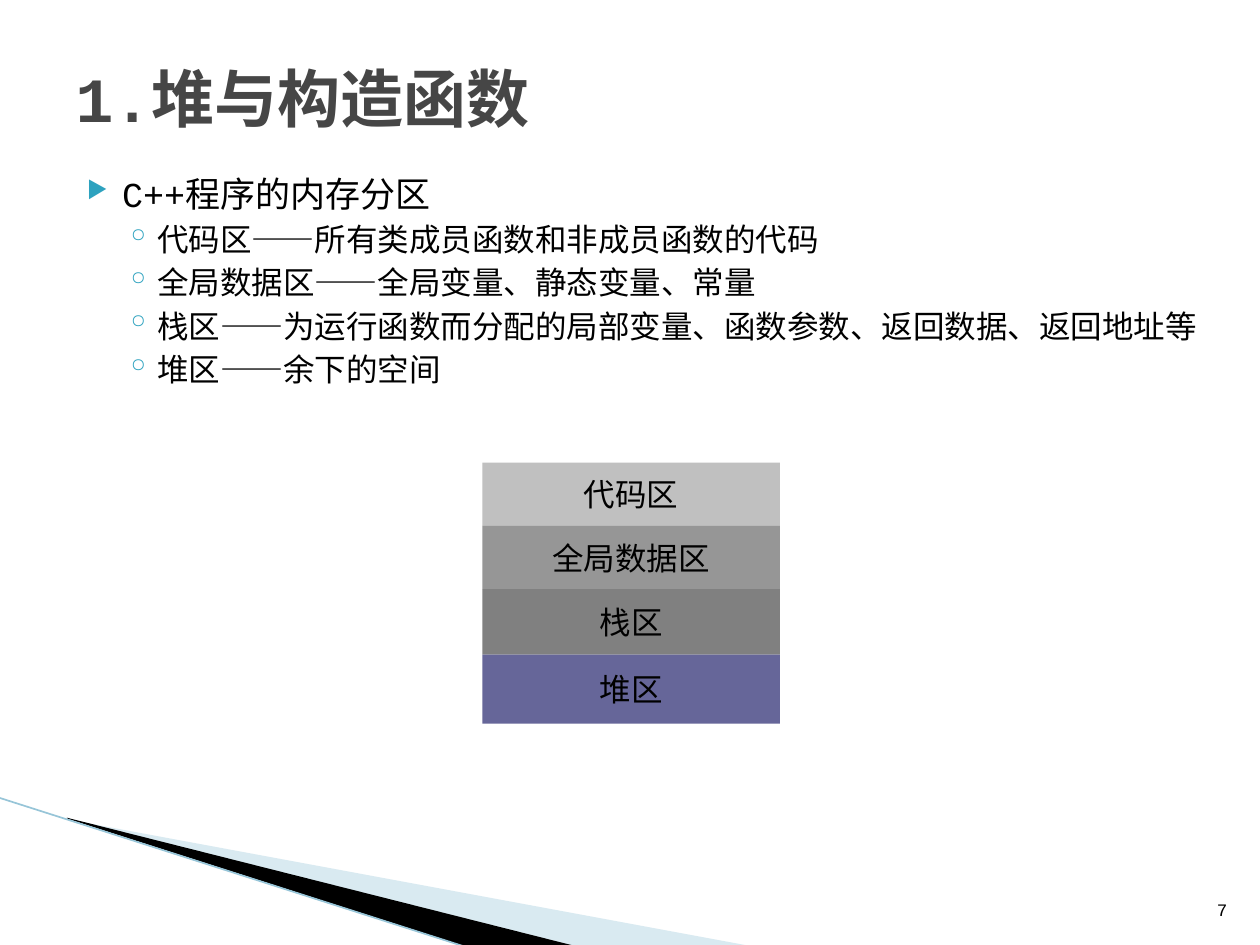
import dataclasses

import pptx
import pptx.dml.color
import pptx.enum.shapes
import pptx.enum.text
import pptx.oxml.ns
import pptx.util
from lxml import etree

Pt = pptx.util.Pt
Align = pptx.enum.text.PP_ALIGN
Anchor = pptx.enum.text.MSO_ANCHOR
qn = pptx.oxml.ns.qn


@dataclasses.dataclass(frozen=True)
class Theme:
    font: str = "Courier New"
    text: str = "000000"
    title: str = "464646"
    accent: str = "2DA2BF"
    pale: str = "A0CBDC"
    edge: str = "97C5D8"
    code: str = "C0C0C0"
    data: str = "969696"
    stack: str = "808080"
    heap: str = "666699"
    title_size: int = 36
    lead_size: int = 20
    item_size: int = 18
    number_size: int = 10


@dataclasses.dataclass
class Bullet:
    mark: str
    left: float
    hang: float
    percent: int = 100


def rgb(value):
    return pptx.dml.color.RGBColor.from_string(value)


class SlideBuilder:
    def __init__(self, page, theme):
        self.page = page
        self.theme = theme

    def place(self, shape, left, top, width, height):
        shape.left, shape.top = Pt(left), Pt(top)
        shape.width, shape.height = Pt(width), Pt(height)

    def span(self, para, text, size, color=None, bold=False):
        span = para.add_run()
        span.text = text
        span.font.name = self.theme.font
        span.font.size = Pt(size)
        span.font.bold = bold
        span.font.color.rgb = rgb(color or self.theme.text)

    def title(self, text, *bounds):
        box = self.page.shapes.title
        self.place(box, *bounds)
        frame = box.text_frame
        frame.word_wrap = True
        frame.auto_size = pptx.enum.text.MSO_AUTO_SIZE.NONE
        frame.vertical_anchor = Anchor.MIDDLE
        para = frame.paragraphs[0]
        para.alignment = Align.LEFT
        self.span(para, text, self.theme.title_size, self.theme.title, True)

    def text_box(self, *bounds, anchor=Anchor.TOP):
        box = self.page.shapes.add_textbox(*map(Pt, bounds))
        box.text_frame.word_wrap = True
        box.text_frame.vertical_anchor = anchor
        return box.text_frame

    def bullet(self, para, style):
        props = para._p.get_or_add_pPr()
        props.set("marL", str(Pt(style.left)))
        props.set("indent", str(Pt(-style.hang)))
        color = etree.SubElement(props, qn("a:buClr"))
        etree.SubElement(color, qn("a:srgbClr"), val=self.theme.accent)
        etree.SubElement(props, qn("a:buSzPct"), val=str(style.percent * 1000))
        etree.SubElement(props, qn("a:buChar"), char=style.mark)

    def outline(self, lead, items, *bounds):
        frame = self.text_box(*bounds)
        para = frame.paragraphs[0]
        self.bullet(para, Bullet("▶", 28.8, 20.16, 68))
        para.line_spacing = Pt(28.8)
        self.span(para, lead, self.theme.lead_size)
        for item in items:
            para = frame.add_paragraph()
            para.level = 1
            self.bullet(para, Bullet("◦", 49, 18))
            para.space_before = Pt(3.2)
            self.span(para, item, self.theme.item_size)

    def number(self, text, *bounds):
        para = self.text_box(*bounds, anchor=Anchor.BOTTOM).paragraphs[0]
        para.alignment = Align.RIGHT
        self.span(para, text, self.theme.number_size)

    def block(self, text, fill, *bounds):
        box = self.page.shapes.add_shape(
            pptx.enum.shapes.MSO_SHAPE.RECTANGLE, *map(Pt, bounds))
        box.shadow.inherit = False
        box.fill.solid()
        box.fill.fore_color.rgb = rgb(fill)
        box.line.fill.background()
        box.text_frame.vertical_anchor = Anchor.MIDDLE
        para = box.text_frame.paragraphs[0]
        para.alignment = Align.CENTER
        self.span(para, text, self.theme.item_size)

    def polygon(self, points, fill, opacity=100):
        start, *rest = [(Pt(x), Pt(y)) for x, y in points]
        builder = self.page.shapes.build_freeform(*start)
        builder.add_line_segments(rest, close=True)
        shape = builder.convert_to_shape()
        shape.shadow.inherit = False
        shape.fill.solid()
        shape.fill.fore_color.rgb = rgb(fill)
        shape.line.fill.background()
        if opacity < 100:
            color = shape._element.spPr.find(".//" + qn("a:srgbClr"))
            etree.SubElement(color, qn("a:alpha"), val=str(opacity * 1000))

    def line(self, start, end, color, width):
        connector = self.page.shapes.add_connector(
            pptx.enum.shapes.MSO_CONNECTOR.STRAIGHT, *map(Pt, start + end))
        connector.line.color.rgb = rgb(color)
        connector.line.width = Pt(width)
        etree.SubElement(connector._element.spPr, qn("a:effectLst"))


def main():
    deck = pptx.Presentation()
    deck.slide_width, deck.slide_height = Pt(720), Pt(540)
    theme = Theme()
    page = deck.slides.add_slide(deck.slide_layouts[5])
    slide = SlideBuilder(page, theme)

    slide.polygon([(39.6, 468.5), (428.4, 540.5), (328.3, 540.5), (39.6, 468)],
                  theme.pale, 40)
    slide.polygon([(38.2, 467.3), (329, 540.7), (267.8, 541.4), (38.9, 468)],
                  theme.text)
    slide.line((-0.7, 455.8), (267.1, 541.4), theme.edge, 0.95)

    slide.title("1.堆与构造函数", 36, 21.6, 648, 68.4)
    slide.outline("C++程序的内存分区", [
        "代码区——所有类成员函数和非成员函数的代码",
        "全局数据区——全局变量、静态变量、常量",
        "栈区——为运行函数而分配的局部变量、函数参数、返回数据、返回地址等",
        "堆区——余下的空间",
    ], 33.84, 90, 663.84, 270)

    top = 264.3
    for text, fill, height in [
        ("代码区", theme.code, 36.2),
        ("全局数据区", theme.data, 36.2),
        ("栈区", theme.stack, 37.4),
        ("堆区", theme.heap, 39.5),
    ]:
        slide.block(text, fill, 275.7, top, 170, height)
        top += height

    slide.number("7", 523.4, 500.4, 185, 28.8)
    deck.save("out.pptx")


if __name__ == "__main__":
    main()
